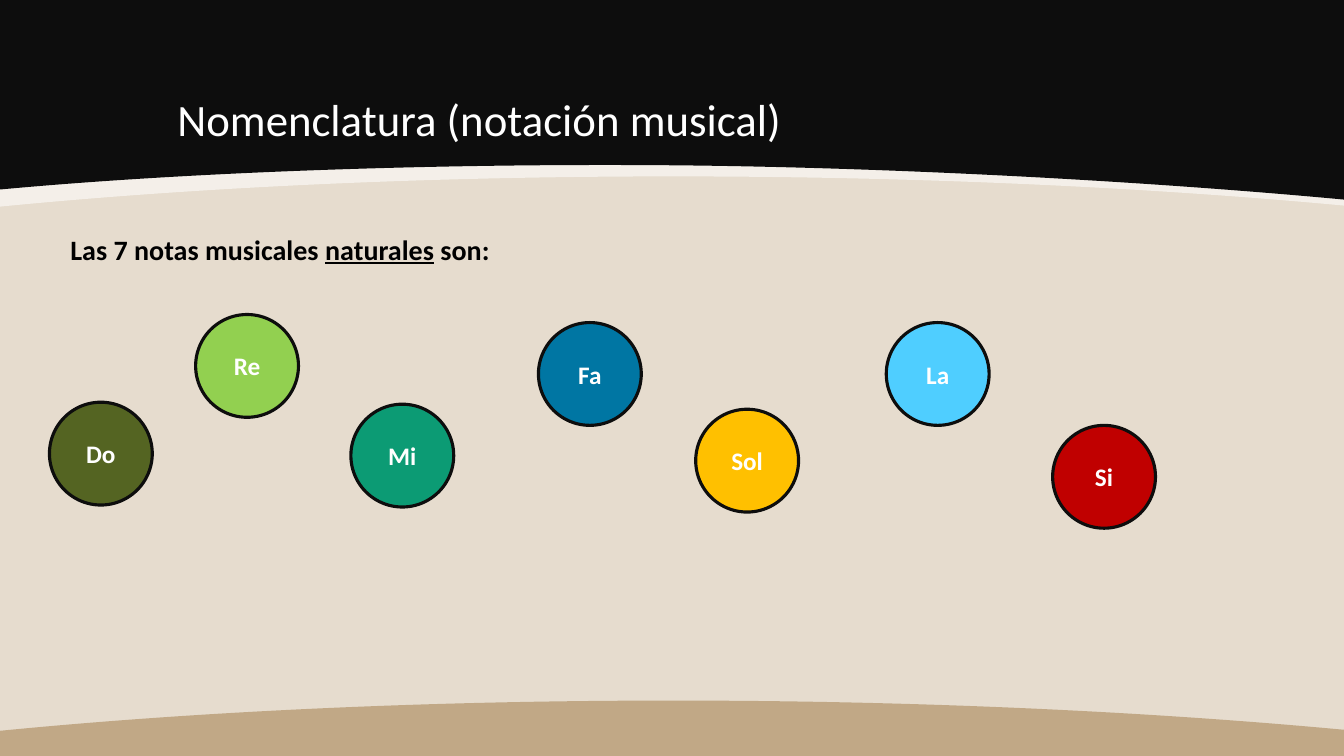
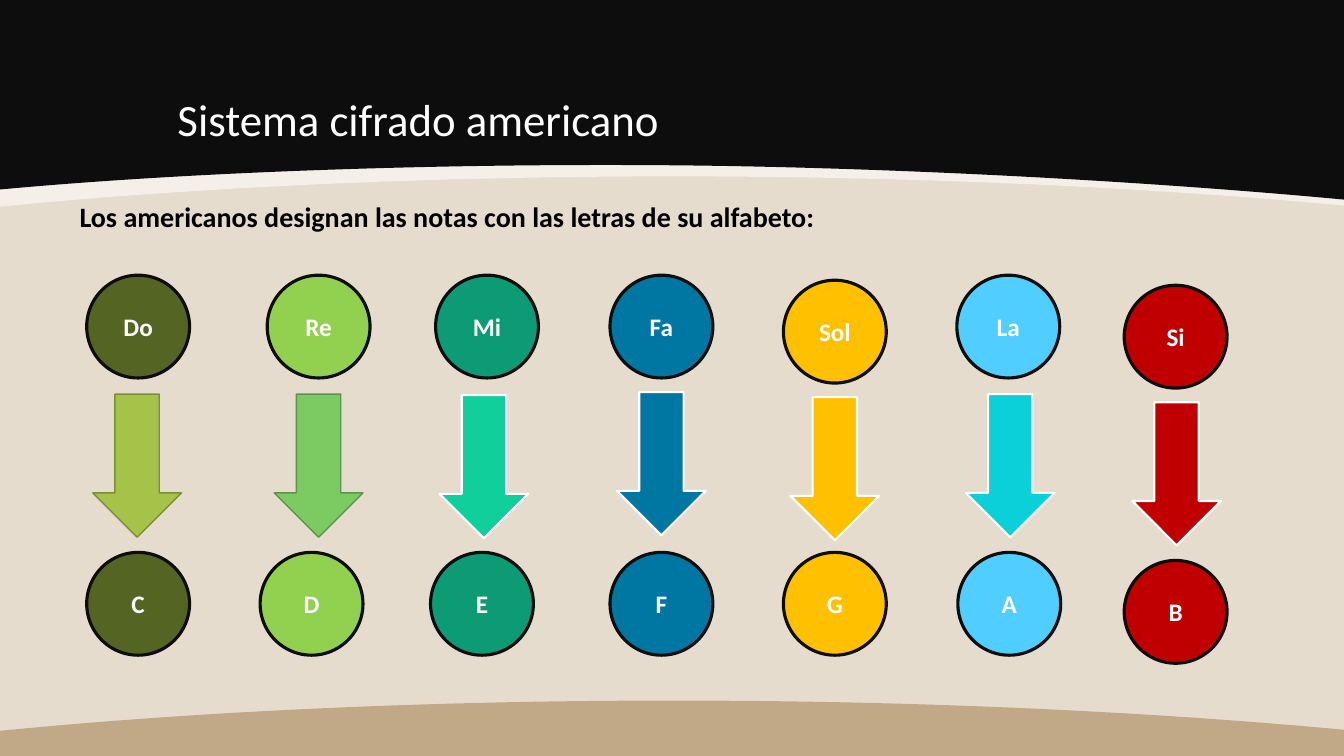
"""Build two slides on the natural notes and their letter names."""
from dataclasses import dataclass

from lxml.etree import SubElement
from pptx import Presentation
from pptx.dml.color import RGBColor
from pptx.dml.fill import FillFormat
from pptx.enum.shapes import MSO_SHAPE
from pptx.enum.text import MSO_ANCHOR, MSO_AUTO_SIZE, PP_ALIGN
from pptx.oxml.ns import qn
from pptx.shapes.autoshape import Shape
from pptx.slide import Slide, SlideLayout
from pptx.text.text import _Paragraph as Paragraph
from pptx.util import Inches, Pt

Point = tuple[float, float]

FONT = "Calibri"
SAND, TAN, CREAM = "E6DCCE", "C1A886", "FAF8F5"
INK, WHITE, BLACK = "0D0D0D", "FFFFFF", "000000"
WIDTH, HEIGHT = 13.33, 7.5
CIRCLE_SIZE = (1.02, 1.02)
ARROW_SIZE = (0.88, 1.42)


@dataclass(frozen=True)
class Band:
    """A filled outline whose steps are corners or cubic curves."""

    color: str
    start: Point
    steps: tuple[tuple[Point, ...], ...]
    opacity: int = 100


@dataclass(frozen=True)
class Note:
    """A note with its colours and its places on both slides."""

    name: str
    letter: str
    color: str
    melody_at: Point
    name_at: Point
    arrow_at: Point
    letter_at: Point
    arrow_color: str
    arrow_line: str = WHITE
    arrow_weight: float = 1.5


BANDS = (
    Band(CREAM, (0, 0), (
        ((WIDTH, 0),),
        ((WIDTH, 2.04),),
        ((11.4, 1.86), (9.12, 1.75), (6.68, 1.75)),
        ((4.23, 1.75), (1.94, 1.86), (0, 2.05)),
        ((0, 1.36), (0, 0.68), (0, 0)),
    ), opacity=70),
    Band(INK, (0, 0), (
        ((WIDTH, 0),),
        ((WIDTH, 1.98),),
        ((11.4, 1.8), (8.89, 1.66), (6.68, 1.64)),
        ((4.45, 1.62), (1.94, 1.7), (0, 1.88)),
        ((0, 1.26), (0, 0.63), (0, 0)),
    )),
    Band(TAN, (6.68, 6.95), (
        ((9.12, 6.95), (11.4, 7.06), (WIDTH, 7.24)),
        ((WIDTH, HEIGHT),),
        ((0, HEIGHT),),
        ((0, 7.25),),
        ((1.94, 7.06), (4.23, 6.95), (6.68, 6.95)),
    )),
)

NOTES = (
    Note("Do", "C", "546422", (0.49, 3.99), (0.86, 2.73), (0.92, 3.91),
         (0.86, 5.48), "A5C249", "7A9036", 1),
    Note("Re", "D", "92D050", (1.94, 3.12), (2.65, 2.73), (2.72, 3.91),
         (2.58, 5.48), "7CCA62", "5C9549", 1),
    Note("Mi", "E", "0C9B74", (3.48, 4.01), (4.32, 2.73), (4.36, 3.92),
         (4.27, 5.48), "10CF9B"),
    Note("Fa", "F", "0076A3", (5.34, 3.2), (6.05, 2.73), (6.12, 3.89),
         (6.05, 5.48), "0076A3"),
    Note("Sol", "G", "FFC000", (6.9, 4.06), (7.77, 2.78), (7.84, 3.94),
         (7.77, 5.48), "FFC000"),
    Note("La", "A", "4FCEFF", (8.79, 3.2), (9.49, 2.73), (9.58, 3.91),
         (9.5, 5.48), "0BD0D9"),
    Note("Si", "B", "C00000", (10.44, 4.22), (11.15, 2.83), (11.23, 3.99),
         (11.15, 5.56), "C00000"),
)


def paint(fill: FillFormat, color: str, opacity: int = 100) -> None:
    """Fill with a solid hex colour at an opacity in percent."""
    fill.solid()
    fill.fore_color.rgb = RGBColor.from_string(color)
    if opacity < 100:
        tint = fill.fore_color._xFill.find(qn("a:srgbClr"))
        SubElement(tint, qn("a:alpha")).set("val", str(opacity * 1000))


def add_span(para: Paragraph, text: str, *, size: float, color: str,
             bold: bool = False, underline: bool = False) -> None:
    """Append formatted text to a paragraph."""
    span = para.add_run()
    span.text = text
    span.font.name = FONT
    span.font.size = Pt(size)
    span.font.bold = bold
    span.font.underline = underline
    paint(span.font.fill, color)


def bend_edges(shape: Shape, band: Band) -> None:
    """Turn the straight edges of curved steps into cubic curves."""
    edges = list(shape.element.iter(qn("a:lnTo")))
    for edge, step in zip(edges, band.steps):
        if len(step) == 1:
            continue
        edge.tag = qn("a:cubicBezTo")
        edge.clear()
        for x, y in step:
            point = SubElement(edge, qn("a:pt"))
            point.set("x", str(Inches(x) - shape.left))
            point.set("y", str(Inches(y) - shape.top))


def add_band(page: Slide, band: Band) -> Shape:
    """Draw one band on a page."""
    corners = [(Inches(x), Inches(y)) for x, y in
               (band.start, *(step[-1] for step in band.steps))]
    builder = page.shapes.build_freeform(*corners[0])
    builder.add_line_segments(corners[1:], close=True)
    shape = builder.convert_to_shape()
    bend_edges(shape, band)
    shape.shadow.inherit = False
    shape.line.fill.background()
    paint(shape.fill, band.color, band.opacity)
    return shape


def prepare_layout(layout: SlideLayout) -> None:
    """Set the shared background and title place."""
    paint(layout.background.fill, SAND)
    for holder in list(layout.placeholders):
        if holder.placeholder_format.idx:
            holder.element.getparent().remove(holder.element)
            continue
        holder.left, holder.top = Inches(1.66), Inches(0.3)
        holder.width, holder.height = Inches(10), Inches(1.2)
        holder.text_frame.vertical_anchor = MSO_ANCHOR.BOTTOM
        holder.text_frame.auto_size = MSO_AUTO_SIZE.NONE


def share_bands(page: Slide) -> None:
    """Draw the bands and move them behind the layout's title."""
    shapes = [add_band(page, band) for band in BANDS]
    tree = page.slide_layout.shapes.element
    for position, shape in enumerate(shapes, start=2):
        tree.insert(position, shape.element)


def add_title(page: Slide, text: str) -> None:
    """Write the page title."""
    para = page.shapes.title.text_frame.paragraphs[0]
    para.alignment = PP_ALIGN.LEFT
    para.line_spacing = 0.9
    add_span(para, text, size=32, color=WHITE)


def add_lead(page: Slide, at: Point, width: float, *parts: str) -> None:
    """Write the lead sentence, underlining every second part."""
    box = page.shapes.add_textbox(*map(Inches, (*at, width, 0.92)))
    box.text_frame.word_wrap = True
    para = box.text_frame.paragraphs[0]
    para.line_spacing = 0.9
    para.space_before = Pt(18)
    for index, text in enumerate(parts):
        add_span(para, text, size=20, color=BLACK, bold=True,
                 underline=index % 2 == 1)


def add_figure(page: Slide, kind: MSO_SHAPE, at: Point, size: Point,
               color: str, line: str, weight: float) -> Shape:
    """Draw a preset shape with a fill and an outline."""
    shape = page.shapes.add_shape(kind, *map(Inches, (*at, *size)))
    shape.shadow.inherit = False
    paint(shape.fill, color)
    paint(shape.line.fill, line)
    shape.line.width = Pt(weight)
    return shape


def add_circle(page: Slide, text: str, at: Point, color: str) -> None:
    """Draw a labelled note circle."""
    circle = add_figure(page, MSO_SHAPE.FLOWCHART_CONNECTOR, at, CIRCLE_SIZE,
                        color, INK, 2.25)
    circle.text_frame.vertical_anchor = MSO_ANCHOR.MIDDLE
    para = circle.text_frame.paragraphs[0]
    para.alignment = PP_ALIGN.CENTER
    add_span(para, text, size=18, color=WHITE, bold=True)


def build_notes_page(page: Slide) -> None:
    """Show the seven natural notes."""
    add_title(page, "Nomenclatura (notación musical)")
    add_lead(page, (0.6, 2.29), 8.02,
             "Las 7 notas musicales ", "naturales", " son:")
    for note in NOTES:
        add_circle(page, note.name, note.melody_at, note.color)


def build_letters_page(page: Slide) -> None:
    """Match each note with its letter."""
    add_title(page, "Sistema cifrado americano")
    add_lead(page, (0.69, 1.97), 8.65,
             "Los americanos designan las notas con las letras de su alfabeto:")
    for note in NOTES:
        add_circle(page, note.name, note.name_at, note.color)
        add_figure(page, MSO_SHAPE.DOWN_ARROW, note.arrow_at, ARROW_SIZE,
                   note.arrow_color, note.arrow_line, note.arrow_weight)
        add_circle(page, note.letter, note.letter_at, note.color)


def main() -> None:
    """Build and save the deck."""
    deck = Presentation()
    deck.slide_width, deck.slide_height = Inches(WIDTH), Inches(HEIGHT)
    layout = deck.slide_layouts.get_by_name("Title Only")
    prepare_layout(layout)
    notes_page = deck.slides.add_slide(layout)
    share_bands(notes_page)
    build_notes_page(notes_page)
    build_letters_page(deck.slides.add_slide(layout))
    deck.save("out.pptx")


main()
